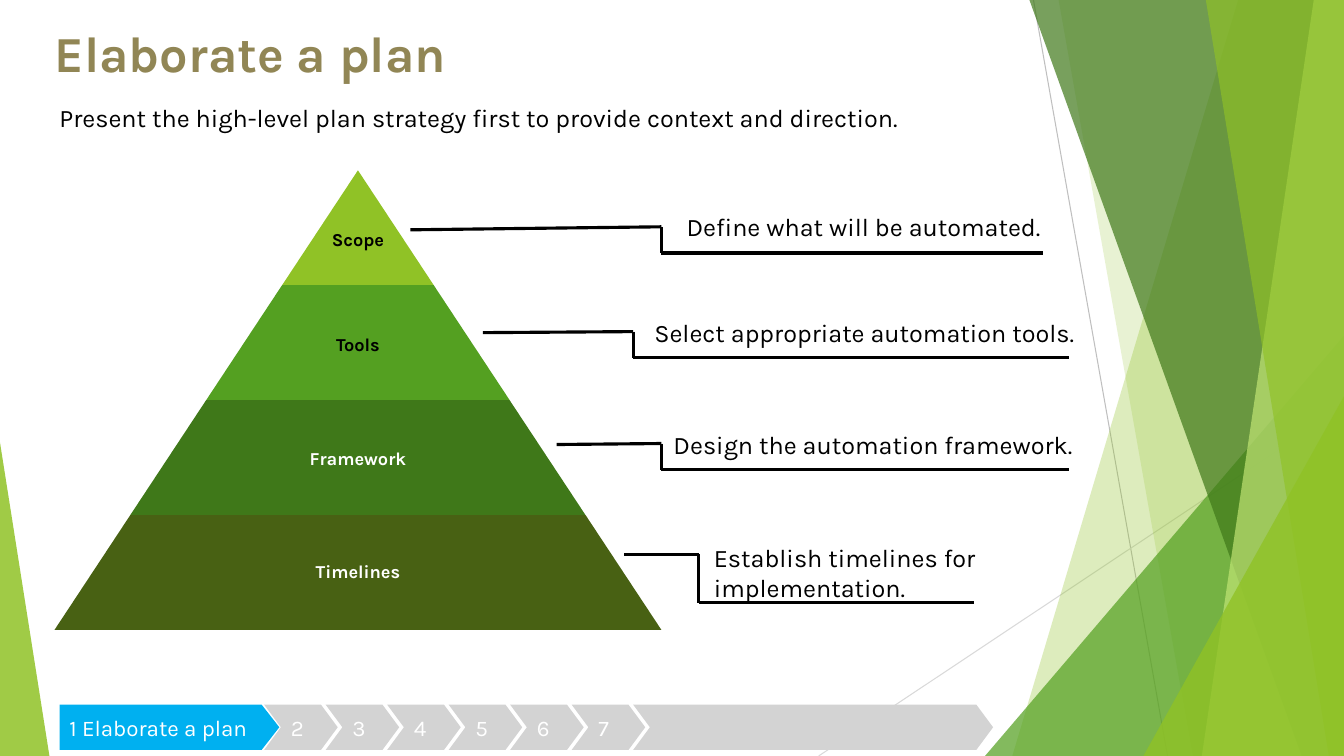
from dataclasses import dataclass

from lxml import etree
from pptx import Presentation
from pptx.dml.color import RGBColor
from pptx.enum.shapes import MSO_CONNECTOR, MSO_SHAPE
from pptx.enum.text import MSO_ANCHOR, PP_ALIGN
from pptx.oxml.ns import qn
from pptx.util import Inches, Pt

STRAIGHT = MSO_CONNECTOR.STRAIGHT
TRIANGLE = MSO_SHAPE.ISOSCELES_TRIANGLE
PENTAGON = MSO_SHAPE.PENTAGON
CHEVRON = MSO_SHAPE.CHEVRON
LEFT, CENTER = PP_ALIGN.LEFT, PP_ALIGN.CENTER
TOP, MIDDLE = MSO_ANCHOR.TOP, MSO_ANCHOR.MIDDLE


@dataclass(frozen=True)
class Theme:
    font: str = "Karla"
    title_size: float = 36
    body_size: float = 18
    step_size: float = 16
    label_size: float = 13
    title: str = "918655"
    black: str = "000000"
    white: str = "FFFFFF"
    lime: str = "90C226"
    pale_lime: str = "C0E474"
    green: str = "54A021"
    forest: str = "3F7819"
    olive: str = "486113"
    active: str = "00B0F0"
    inactive: str = "D3D3D3"
    line_dark: str = "BFBFBF"
    line_light: str = "D9D9D9"


THEME = Theme()


def write_text(shape, text, size, color, bold=False, align=LEFT, anchor=TOP, inset=(0, 0)):
    frame = shape.text_frame
    frame.word_wrap = True
    frame.vertical_anchor = anchor
    frame.margin_left = frame.margin_right = Inches(inset[0])
    frame.margin_top = frame.margin_bottom = Inches(inset[1])
    paragraph = frame.paragraphs[0]
    paragraph.alignment = align
    run = paragraph.add_run()
    run.text = text
    run.font.name = THEME.font
    run.font.size = Pt(size)
    run.font.bold = bold
    run.font.color.rgb = RGBColor.from_string(color)


class SlideBuilder:
    def __init__(self, slide, theme):
        self.slide = slide
        self.theme = theme

    def paint(self, shape, color, opacity=100):
        shape.shadow.inherit = False
        shape.line.fill.background()
        shape.fill.solid()
        shape.fill.fore_color.rgb = RGBColor.from_string(color)
        if opacity < 100:
            color_element = shape.fill._xPr.find(qn("a:solidFill"))[0]
            etree.SubElement(color_element, qn("a:alpha")).set("val", str(opacity * 1000))

    def polygon(self, points, color, opacity=100):
        corners = [(Inches(x), Inches(y)) for x, y in points]
        builder = self.slide.shapes.build_freeform(*corners[0])
        builder.add_line_segments(corners[1:], close=True)
        self.paint(builder.convert_to_shape(), color, opacity)

    def preset(self, kind, box, adjustment, color, opacity=100):
        shape = self.slide.shapes.add_shape(kind, *map(Inches, box))
        shape.adjustments[0] = adjustment
        self.paint(shape, color, opacity)
        return shape

    def line(self, start, end, color, width):
        connector = self.slide.shapes.add_connector(STRAIGHT, *map(Inches, (*start, *end)))
        connector.line.color.rgb = RGBColor.from_string(color)
        connector.line.width = Pt(width)
        etree.SubElement(connector._element.spPr, qn("a:effectLst"))

    def text(self, box, text, **text_format):
        write_text(self.slide.shapes.add_textbox(*map(Inches, box)), text, **text_format)

    def callout(self, text, box, points):
        self.text(box, text, size=self.theme.body_size, color=self.theme.black)
        for start, end in zip(points, points[1:]):
            self.line(start, end, self.theme.black, 2.25)


def draw_backdrop(builder):
    theme = builder.theme
    right, bottom = 13.33, 7.5

    def shard(top_x, bottom_x, color, opacity):
        corners = [(top_x, 0), (right, 0), (right, bottom), (bottom_x, bottom)]
        builder.polygon(corners, color, opacity)

    def corner(left, width, height, apex, color, opacity):
        box = (left, bottom - height, width, height)
        builder.preset(TRIANGLE, box, apex, color, opacity)

    builder.line((10.25, 0), (11.58, bottom), theme.line_dark, 0.75)
    builder.line((right, 4.03), (8.12, bottom), theme.line_light, 0.75)
    shard(12.28, 10.04, theme.lime, 30)
    shard(10.5, 11.83, theme.lime, 20)
    corner(9.77, 3.56, 4.17, 1, theme.green, 72)
    shard(10.21, 12.91, theme.forest, 70)
    shard(13.03, 11.92, theme.pale_lime, 70)
    shard(11.96, 13.18, theme.lime, 65)
    corner(11.34, 1.99, 3.57, 1, theme.lime, 80)
    corner(0, 0.49, 3.11, 0, theme.lime, 85)


def draw_pyramid(builder):
    theme = builder.theme
    apex_x, apex_y, band_height, half_step = 3.55, 1.69, 1.14, 0.7525
    bands = [
        ("Scope", theme.lime, theme.black, 2.37),
        ("Tools", theme.green, theme.black, 3.41),
        ("Framework", theme.forest, theme.white, 4.55),
        ("Timelines", theme.olive, theme.white, 5.67),
    ]
    label_width, label_height = 1.56, 0.64
    for level, (label, fill, color, label_y) in enumerate(bands):
        top = apex_y + level * band_height
        bottom = top + band_height
        upper, lower = level * half_step, (level + 1) * half_step
        corners = [(apex_x - upper, top), (apex_x + upper, top),
                   (apex_x + lower, bottom), (apex_x - lower, bottom)]
        builder.polygon(corners if level else corners[1:], fill)
        box = (apex_x - label_width / 2, label_y - label_height / 2, label_width, label_height)
        builder.text(box, label, size=theme.label_size, color=color, bold=True,
                     align=CENTER, anchor=MIDDLE)


def draw_callouts(builder):
    callouts = [
        ("Define what will be automated.", (6.81, 2.1, 3.62, 0.3),
         (4.07, 2.28), (6.56, 2.25), (10.34, 2.51)),
        ("Select appropriate automation tools.", (6.49, 3.15, 4.24, 0.3),
         (4.79, 3.3), (6.28, 3.29), (10.6, 3.55)),
        ("Design the automation framework.", (6.68, 4.26, 4.24, 0.3),
         (5.52, 4.41), (6.56, 4.4), (10.6, 4.66)),
        ("Establish timelines for implementation.", (7.08, 5.38, 4.16, 0.61),
         (6.19, 5.5), (6.93, 5.5), (9.66, 5.98)),
    ]
    for text, box, start, bend, end in callouts:
        builder.callout(text, box, [start, bend, (bend[0], end[1]), end])


def draw_steps(builder):
    theme = builder.theme
    top, height, first_left, pitch = 6.99, 0.45, 2.62, 0.61
    steps = [("1 Elaborate a plan", PENTAGON, 0.59, 2.18, 0.39, theme.active)]
    for index, label in enumerate(["2", "3", "4", "5", "6", "7", ""]):
        width = 0.73 if label else 3.57
        steps.append((label, CHEVRON, first_left + index * pitch, width, 0.37, theme.inactive))
    for label, kind, left, width, point, fill in steps:
        shape = builder.preset(kind, (left, top, width, height), point, fill)
        if label:
            write_text(shape, label, size=theme.step_size, color=theme.white,
                       anchor=MIDDLE, inset=(0.1, 0.1))


def main():
    presentation = Presentation()
    presentation.slide_width = Inches(13.33)
    presentation.slide_height = Inches(7.5)
    slide = presentation.slides.add_slide(presentation.slide_layouts[6])
    builder = SlideBuilder(slide, THEME)
    draw_backdrop(builder)
    builder.text((0.54, 0.22, 12.25, 0.85), "Elaborate a plan",
                 size=THEME.title_size, color=THEME.title, bold=True)
    draw_pyramid(builder)
    draw_callouts(builder)
    builder.text((0.49, 0.97, 8.58, 0.4),
                 "Present the high-level plan strategy first to provide context and direction.",
                 size=THEME.body_size, color=THEME.black, inset=(0.1, 0.05))
    draw_steps(builder)
    presentation.save("out.pptx")


if __name__ == "__main__":
    main()
